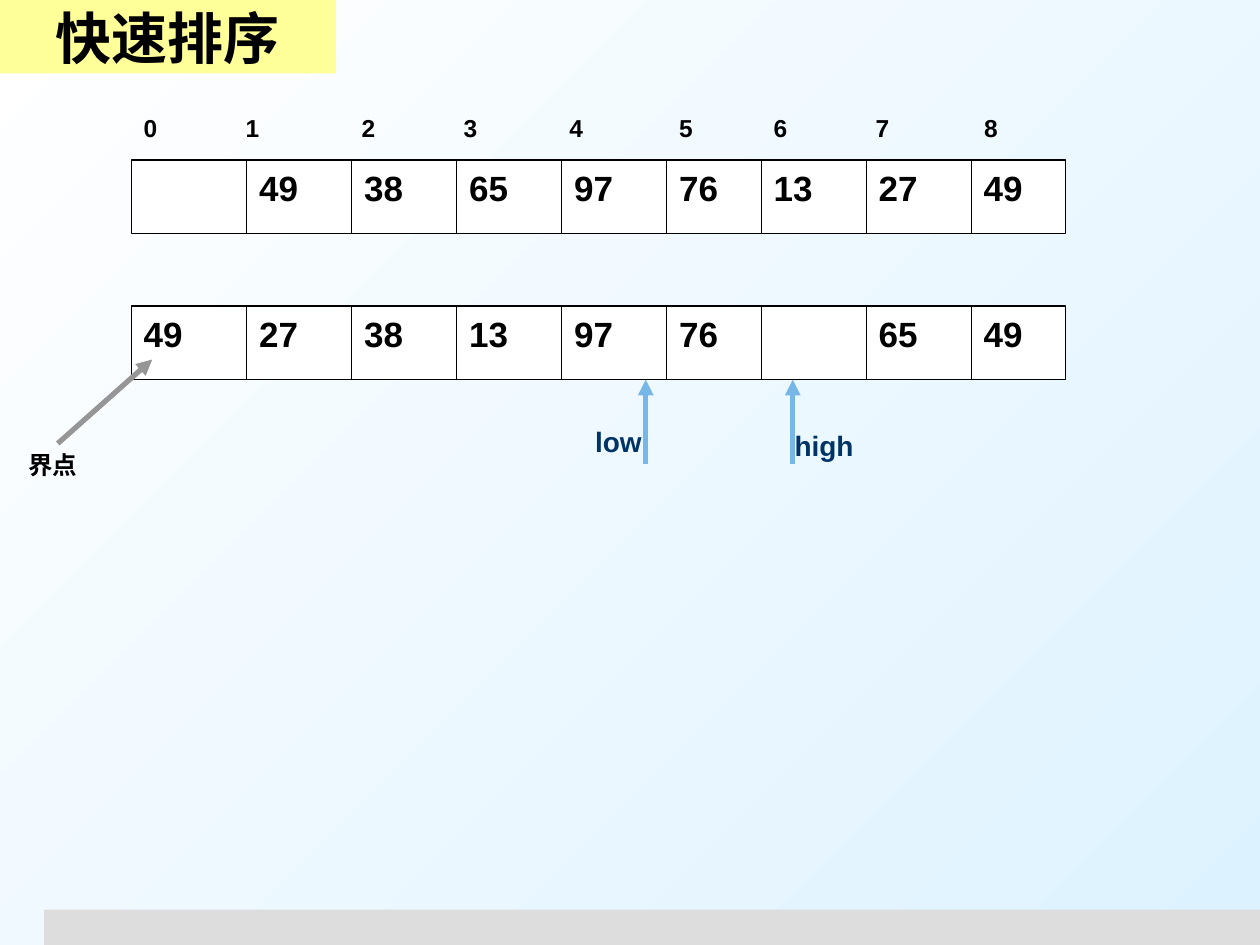
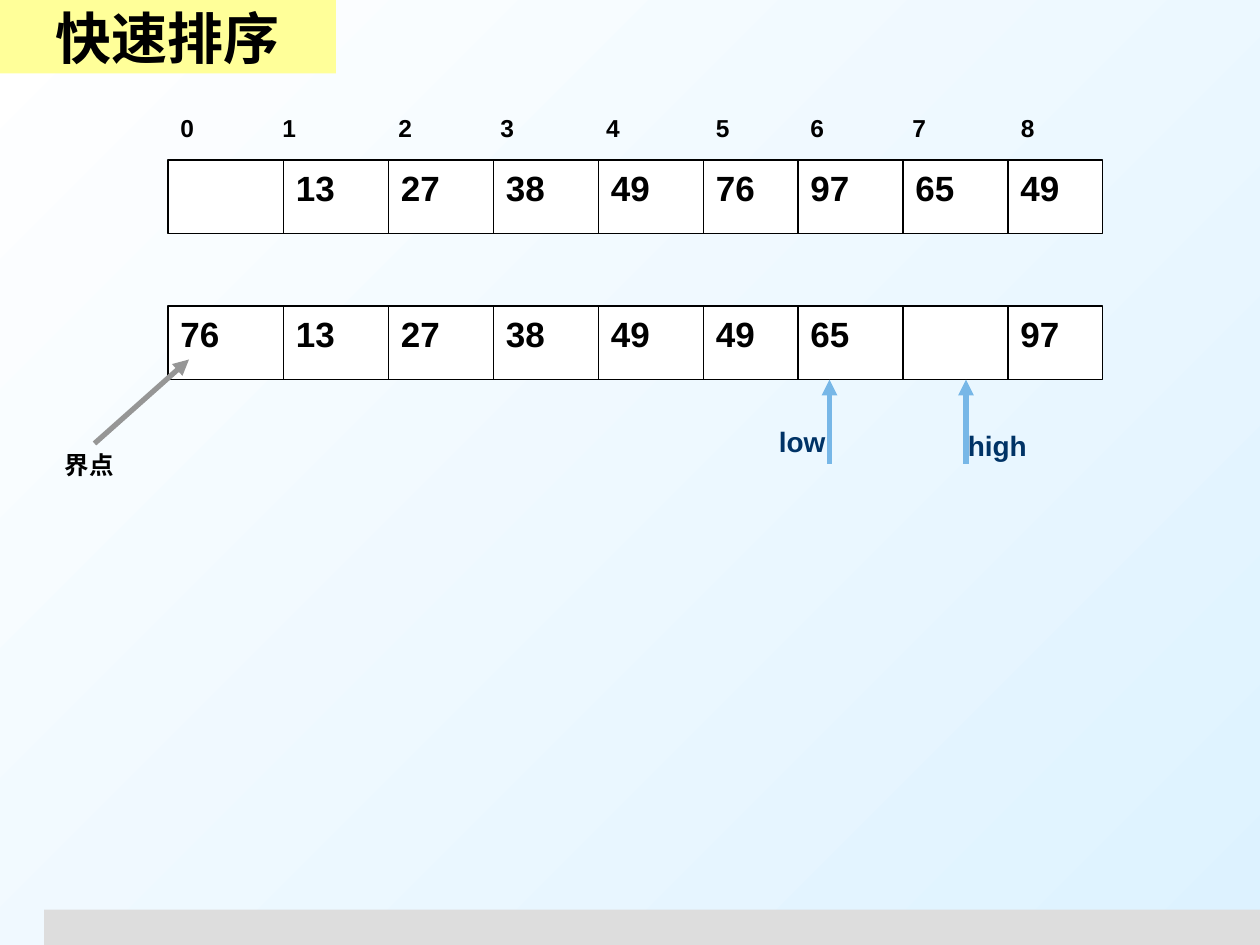
import itertools

import lxml.etree
import pptx
import pptx.dml.color
import pptx.enum.shapes
import pptx.enum.text
import pptx.oxml.ns
import pptx.util

COLORS = {
    "black": "000000",
    "white": "FFFFFF",
    "sky": "DDF2FF",
    "footer": "DDDDDD",
    "title": "FFFF99",
    "pointer": "77B7E7",
    "pointer_label": "003366",
    "pivot": "969696",
}
FONT = "Arial"
SLIDE_WIDTH, SLIDE_HEIGHT = 10, 7.5

# The array grid: every cell width is a whole number of twelfths of an inch.
UNIT = 1 / 12
CELL_WIDTHS = [units * UNIT for units in (11, 10, 10, 10, 10, 9, 10, 10, 9)]
CELL_EDGES = list(itertools.accumulate(CELL_WIDTHS, initial=0))
CELL_HEIGHT = 7 * UNIT
INDEX_TOP, BEFORE_TOP, AFTER_TOP = 0.85, 1.27, 2.43
AFTER_BOTTOM = AFTER_TOP + CELL_HEIGHT
INDEX_TABS = (0.81, 1.73, 2.54, 3.38, 4.25, 5, 5.81, 6.67)

# Pointers are (cell, offset within the cell in units).
STEPS = [
    {
        "left": 12.5 * UNIT,
        "before": ["", 49, 38, 65, 97, 76, 13, 27, 49],
        "after": [49, 27, 38, 13, 97, 76, "", 65, 49],
        "low": (4, 8),
        "high": (6, 3),
    },
    {
        "left": 16 * UNIT,
        "before": ["", 13, 27, 38, 49, 76, 97, 65, 49],
        "after": [76, 13, 27, 38, 49, 49, 65, "", 97],
        "low": (6, 3),
        "high": (7, 6),
    },
]


def rgb(name):
    return pptx.dml.color.RGBColor.from_string(COLORS[name])


def inches(*lengths):
    return [pptx.util.Inches(length) for length in lengths]


def format_text(shape, text, size, color="black"):
    shape.text_frame.text = text
    paragraph = shape.text_frame.paragraphs[0]
    for run in paragraph.runs:
        run.font.name = FONT
        run.font.size = pptx.util.Pt(size)
        run.font.bold = True
        run.font.color.rgb = rgb(color)
    return paragraph


def add_label(shapes, text, left, top, width, height, size, color="black"):
    box = shapes.add_textbox(*inches(left, top, width, height))
    box.text_frame.word_wrap = True
    return format_text(box, text, size, color)


def add_rectangle(shapes, left, top, width, height, fill, outlined=False):
    rectangle = shapes.add_shape(
        pptx.enum.shapes.MSO_SHAPE.RECTANGLE, *inches(left, top, width, height)
    )
    rectangle.shadow.inherit = False
    rectangle.fill.solid()
    rectangle.fill.fore_color.rgb = rgb(fill)
    if outlined:
        rectangle.line.color.rgb = rgb("black")
        rectangle.line.width = pptx.util.Pt(0.75)
    else:
        rectangle.line.fill.background()
    return rectangle


def add_line(shapes, start, end, color="black", width=0.75, arrow=False):
    line = shapes.add_connector(
        pptx.enum.shapes.MSO_CONNECTOR.STRAIGHT, *inches(*start, *end)
    )
    line.line.color.rgb = rgb(color)
    line.line.width = pptx.util.Pt(width)
    properties = line._element.spPr
    if arrow:
        outline = properties.find(pptx.oxml.ns.qn("a:ln"))
        lxml.etree.SubElement(outline, pptx.oxml.ns.qn("a:tailEnd"), type="triangle")
    lxml.etree.SubElement(properties, pptx.oxml.ns.qn("a:effectLst"))


def add_array(slide, left, top, values):
    """Draw one row of cells with the values written in them."""
    frame = slide.shapes.add_group_shape().shapes
    add_rectangle(frame, left, top, CELL_EDGES[-1], CELL_HEIGHT, "white", outlined=True)
    for edge in CELL_EDGES[1:-1]:
        add_line(frame, (left + edge, top), (left + edge, top + CELL_HEIGHT))
    for edge, value in zip(CELL_EDGES, values):
        if value != "":
            add_label(slide.shapes, str(value), left + edge, top, 8 * UNIT, 0.43, 20)


def add_indices(slide, left):
    """Write the cell numbers in one line, spaced by tab stops."""
    text = "\t".join(str(index) for index in range(len(CELL_WIDTHS)))
    paragraph = add_label(slide.shapes, text, left, INDEX_TOP, CELL_EDGES[-1], 0.33, 14)
    properties = paragraph._p.get_or_add_pPr()
    tabs = lxml.etree.SubElement(properties, pptx.oxml.ns.qn("a:tabLst"))
    for position in INDEX_TABS:
        lxml.etree.SubElement(
            tabs,
            pptx.oxml.ns.qn("a:tab"),
            pos=str(pptx.util.Inches(position)),
            algn="l",
        )


def add_pointer(slide, text, left, place, label_shift, label_top):
    cell, offset = place
    x = left + CELL_EDGES[cell] + offset * UNIT
    shapes = slide.shapes.add_group_shape().shapes
    add_line(shapes, (x, AFTER_BOTTOM + 8 * UNIT), (x, AFTER_BOTTOM), "pointer", 3, arrow=True)
    add_label(
        shapes, text, x + label_shift, label_top, 11 * UNIT, 0.37, 16, "pointer_label"
    )


def add_pivot(slide, left):
    label_top = 3.52
    add_label(slide.shapes, "界点", left - 11 * UNIT, label_top, 10 * UNIT, 0.33, 14)
    add_line(
        slide.shapes,
        (left - 7 * UNIT, label_top),
        (left + 2 * UNIT, label_top - 8 * UNIT),
        "pivot",
        3,
        arrow=True,
    )


def add_footer(slide):
    left, height = 0.35, 0.28
    add_rectangle(
        slide.shapes, left, SLIDE_HEIGHT - height, SLIDE_WIDTH - left, height, "footer"
    )


def add_title(slide):
    band = add_rectangle(slide.shapes, 0, 0, 32 * UNIT, CELL_HEIGHT, "title")
    band.text_frame.vertical_anchor = pptx.enum.text.MSO_ANCHOR.MIDDLE
    paragraph = format_text(band, "快速排序", 32)
    paragraph.alignment = pptx.enum.text.PP_ALIGN.CENTER


def set_background(master):
    fill = master.background.fill
    fill.gradient()
    fill.gradient_angle = 315
    for stop, color in zip(fill.gradient_stops, ("white", "sky")):
        stop.color.rgb = rgb(color)


def add_step(presentation, step):
    slide = presentation.slides.add_slide(presentation.slide_layouts[6])
    left = step["left"]
    add_footer(slide)
    add_array(slide, left, AFTER_TOP, step["after"])
    add_array(slide, left, BEFORE_TOP, step["before"])
    add_indices(slide, left)
    add_pointer(slide, "high", left, step["high"], -UNIT, 3.35)
    add_pointer(slide, "low", left, step["low"], -6 * UNIT, 3.32)
    add_pivot(slide, left)
    add_title(slide)


def main():
    presentation = pptx.Presentation()
    presentation.slide_width, presentation.slide_height = inches(SLIDE_WIDTH, SLIDE_HEIGHT)
    set_background(presentation.slide_master)
    for step in STEPS:
        add_step(presentation, step)
    presentation.save("out.pptx")


if __name__ == "__main__":
    main()
